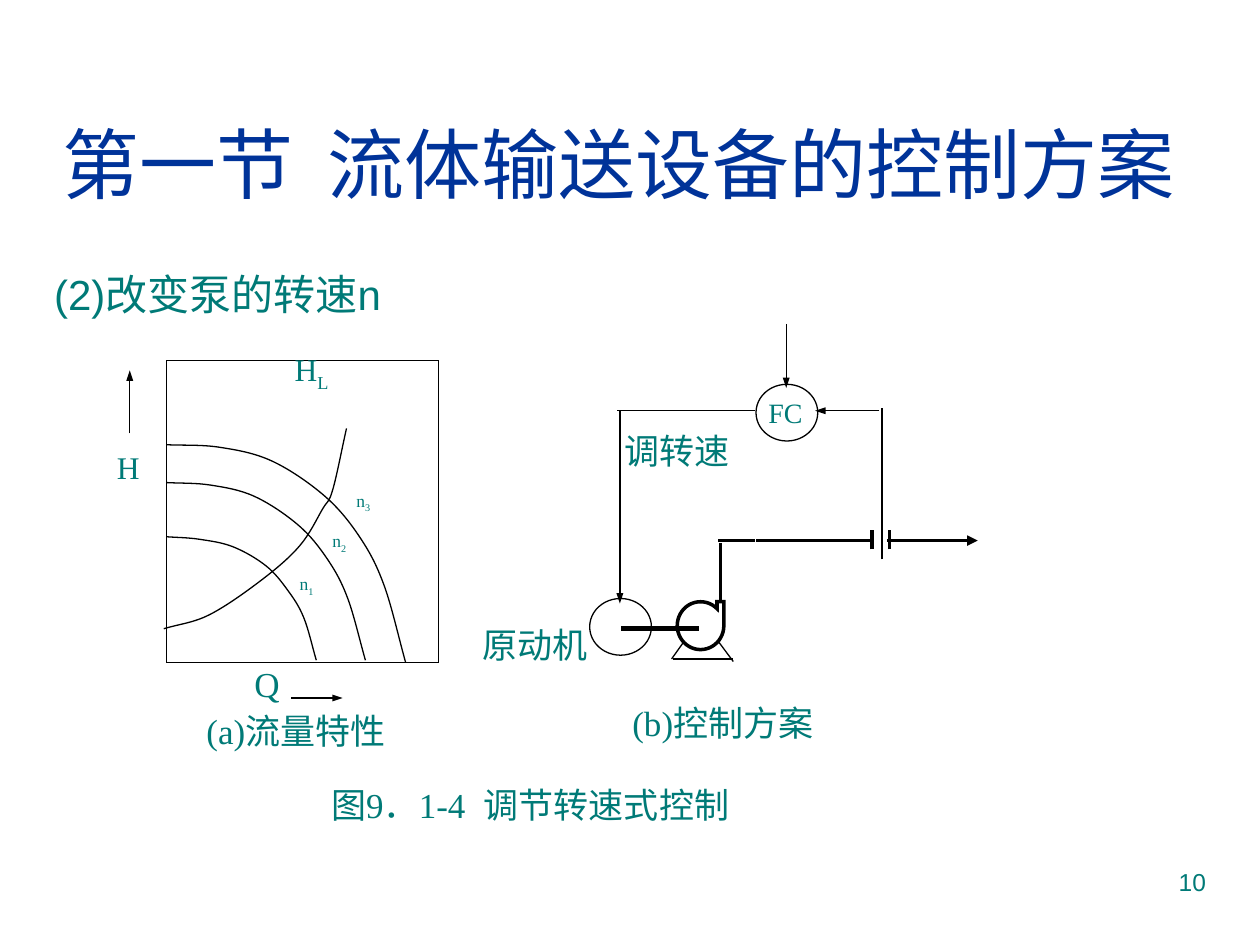
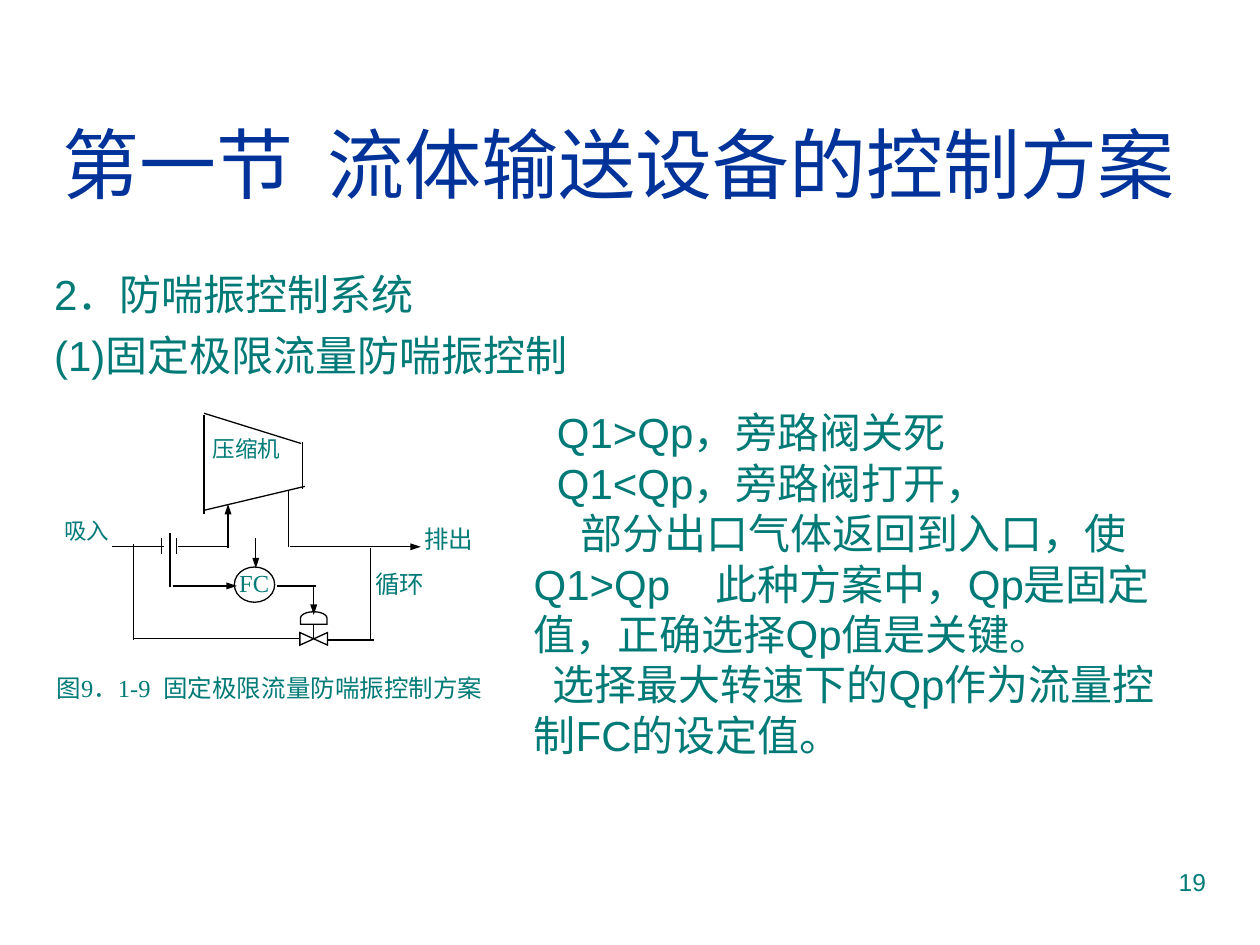
"""Build two slides on control schemes for fluid transport equipment."""
from dataclasses import dataclass
from typing import NamedTuple

from lxml.etree import SubElement
from pptx import Presentation
from pptx.dml.color import RGBColor
from pptx.enum.shapes import MSO_CONNECTOR, MSO_SHAPE
from pptx.enum.text import MSO_ANCHOR, MSO_AUTO_SIZE, PP_ALIGN
from pptx.oxml.ns import qn
from pptx.util import Inches, Pt


@dataclass(frozen=True)
class Theme:
    title: RGBColor = RGBColor(0x00, 0x33, 0x99)
    text: RGBColor = RGBColor(0x00, 0x7A, 0x77)
    ink: RGBColor = RGBColor(0, 0, 0)
    paper: RGBColor = RGBColor(255, 255, 255)
    sans: str = "Arial"
    serif: str = "Times New Roman"
    title_pt: float = 44
    body_pt: float = 24
    label_pt: float = 20
    axis_pt: float = 18
    tag_pt: float = 16
    small_pt: float = 14
    device_pt: float = 12.9
    curve_pt: float = 10
    thin: float = 0.75
    pipe: float = 2
    shaft: float = 3
    space_em: float = 0.27


T = Theme()
CELL = 0.1


class Span(NamedTuple):
    text: str
    base: int = 0
    extra_spaces: float = 0


class Box(NamedTuple):
    col: float
    row: float
    cols: float
    rows: float


class Label(NamedTuple):
    box: Box
    spans: list[Span]
    size: float = T.label_pt
    spacing: float = 1.0


class Node(NamedTuple):
    kind: MSO_SHAPE
    box: Box
    weight: float = T.thin
    turn: float = 0


class Line(NamedTuple):
    x1: float
    y1: float
    x2: float
    y2: float
    arrow: bool = False
    weight: float = T.thin


Points = list[tuple[float, float]]
GAP = Span(" ", extra_spaces=1)
TITLE = [Span("第一节"), Span(" ", extra_spaces=0.8), Span("流体输送设备的控制方案")]
TITLE_BOX = Box(3.3, 6.7, 93.4, 12.5)
TITLE_RIGHT_INSET = 2.7
BODY_BOX = Box(3.3, 20.8, 93.4, 45.9)
NUMBER_BOX = Box(71.7, 68.3, 25, 5.2)

SPEED_CURVES: list[Points] = [
    [(13.2, 35.3), (17.4, 35.5), (21.6, 36.6), (25.8, 39.4), (28.6, 42.7), (30.5, 46.5), (32.2, 52.6)],
    [(13, 49.9), (16.6, 48.8), (20.8, 46), (23.8, 43.3), (25.6, 40.4), (26.4, 38.9), (27.5, 34)],
    [(13.2, 38.3), (16.7, 38.5), (20.2, 39.4), (23.7, 41.7), (26, 44.4), (27.6, 47.5), (29, 52.4)],
    [(13.2, 42.6), (15.8, 42.8), (18.5, 43.4), (21.1, 44.9), (22.8, 46.8), (24.1, 49), (25.1, 52.4)],
]
SPEED_NODES = [
    Node(MSO_SHAPE.RECTANGLE, Box(13.2, 28.6, 21.6, 24)),
    Node(MSO_SHAPE.OVAL, Box(46.8, 47.5, 4.9, 4.5)),
    Node(MSO_SHAPE.FLOWCHART_SEQUENTIAL_ACCESS_STORAGE, Box(53.7, 47.8, 3.8, 3.7), T.pipe, 270),
    Node(MSO_SHAPE.OVAL, Box(60, 30.5, 4.9, 4.5)),
]
SPEED_LINES = [
    Line(10.3, 34.4, 10.3, 29.4, True),
    Line(23.1, 55.4, 27.2, 55.4, True),
    Line(57, 42.9, 59.9, 42.9, weight=T.pipe),
    Line(57.2, 43.1, 57.2, 47.7, weight=T.pipe),
    Line(70.4, 42.9, 77.6, 42.9, True, T.pipe),
    Line(54.3, 50.9, 53.3, 52.3),
    Line(57, 50.9, 58.2, 52.5),
    Line(53.4, 52.3, 58.2, 52.3),
    Line(49.3, 49.9, 55.5, 49.9, weight=T.shaft),
    Line(60, 42.9, 69.3, 42.9, weight=T.pipe),
    *[Line(x, 43.6, x, 42.1, weight=T.pipe) for x in (69.2, 70.6)],
    Line(70, 44.4, 70, 32.4),
    Line(69.8, 32.6, 64.7, 32.6, True),
    Line(59.9, 32.6, 49, 32.6),
    Line(62.4, 25.7, 62.4, 30.8, True),
    Line(49.2, 32.6, 49.2, 47.9, True),
]
SPEED_LABELS = [
    Label(Box(22.4, 27.3, 6.9, 5.1), [Span("H"), Span("L", -25)], T.axis_pt),
    Label(Box(60, 30.9, 7.5, 3.9), [Span("FC")], T.tag_pt),
    Label(Box(48.6, 33.6, 10.8, 5.2), [Span("调转速")]),
    Label(Box(37.3, 49, 11.9, 5.5), [Span("原动机")]),
    Label(Box(49.2, 55.2, 17.2, 6), [Span("(b)控制方案")]),
    Label(Box(8.3, 35.1, 5.2, 4.5), [Span("H")], T.axis_pt),
    *[Label(Box(col, row, 5.5, 5), [Span("n"), Span(index, -25)], T.curve_pt)
      for col, row, index in ((27.3, 38.4, "3"), (25.4, 41.6, "2"), (22.8, 45, "1"))],
    Label(Box(19.2, 52.1, 5.2, 5.4), [Span("Q")]),
    Label(Box(15.4, 55.8, 18, 5.4), [Span("(a)流量特性")]),
    Label(Box(25.3, 61.7, 37.7, 4.9), [Span("图9．1-4"), GAP, Span("调节转速式控制")]),
]

SURGE_NODES = [
    Node(MSO_SHAPE.OVAL, Box(18.6, 45, 3.2, 2.8)),
    Node(MSO_SHAPE.FLOWCHART_COLLATE, Box(24.4, 49.6, 1, 2.2), turn=270),
    Node(MSO_SHAPE.FLOWCHART_DELAY, Box(24.4, 48, 1, 2.1), turn=270),
]
SURGE_LINES = [
    Line(16.2, 32.9, 16.2, 40.8),
    Line(24, 35.1, 24, 38.8),
    Line(16.2, 32.8, 23.9, 35.2),
    Line(16.2, 40.5, 24.2, 38.6),
    Line(22.9, 39, 22.9, 43.4),
    Line(18.1, 43.5, 18.1, 40, True),
    Line(23, 43.4, 33.4, 43.4, True),
    Line(14.1, 43.4, 18.2, 43.4),
    Line(8.9, 43.4, 13, 43.4),
    *[Line(x, 42.7, x, 44) for x in (12.8, 14)],
    Line(13.5, 42.3, 13.5, 46.6),
    Line(13.7, 46.5, 18.8, 46.5, True),
    Line(29.4, 43.5, 29.4, 50.8),
    Line(10.6, 50.7, 23.7, 50.7),
    Line(10.6, 43.2, 10.6, 50.8),
    Line(24.9, 50.7, 24.9, 49.5),
    Line(26, 50.8, 29.7, 50.8),
    Line(22, 46.5, 25.1, 46.5),
    Line(24.9, 46.4, 24.9, 48.8, True),
    Line(20.3, 42.7, 20.3, 45.1, True),
]
SURGE_LABELS = [
    Label(Box(15.9, 34.3, 7.5, 3.9), [Span("压缩机")], T.device_pt, 0.9),
    Label(Box(32.7, 41.1, 6.1, 4), [Span("排出")], T.small_pt),
    Label(Box(4.1, 40.8, 5.8, 4), [Span("吸入")], T.device_pt, 0.9),
    Label(Box(28.8, 44.7, 6.2, 4), [Span("循环")], T.small_pt),
    Label(Box(18, 44.6, 4.5, 4.4), [Span("FC")], T.small_pt),
    Label(Box(3.5, 52.9, 37.8, 4.2),
          [Span("图9．1-9"), GAP, Span("固定极限流量防喘振控制方案")], T.small_pt),
]
RULES_BOX = Box(41.37, 31.8, 52.8, 29)
RULES = [
    (1.85, [Span("Q1>Qp，旁路阀关死")]),
    (1.85, [Span("Q1<Qp，旁路阀打开，")]),
    (3.7, [Span("部分出口气体返回到入口，使Q1>Qp"), Span(" ", extra_spaces=3),
           Span("此种方案中，Qp是固定值，正确选择Qp值是关键。")]),
    (1.5, [Span("选择最大转速下的Qp作为流量控制FC的设定值。")]),
]


def grid(n: float) -> int:
    """Convert grid cells to a length."""
    return Inches(round(n * CELL, 3))


def place(box: Box) -> tuple[int, ...]:
    """Convert a grid box to left, top, width and height."""
    return tuple(grid(n) for n in box)


def write(p, spans: list[Span], size: float, font: str = T.serif, color: RGBColor = T.text) -> None:
    """Add formatted runs to a paragraph."""
    for span in spans:
        r = p.add_run()
        r.text = span.text
        r.font.size, r.font.name = Pt(size), font
        r.font.color.rgb = color
        rPr = r._r.get_or_add_rPr()
        if span.base:
            rPr.set("baseline", str(span.base * 1000))
        if span.extra_spaces:
            rPr.set("spc", str(round(span.extra_spaces * size * T.space_em * 100)))


def indent(p, left: float, first: float) -> None:
    """Indent a paragraph and clear its bullet."""
    pPr = p._p.get_or_add_pPr()
    pPr.set("marL", str(grid(left)))
    pPr.set("indent", str(grid(first)))
    SubElement(pPr, qn("a:buNone"))


def add_text_box(shapes, box: Box):
    """Add a wrapping text box and return its frame."""
    tf = shapes.add_textbox(*place(box)).text_frame
    tf.word_wrap = True
    return tf


def add_label(shapes, label: Label) -> None:
    """Add one diagram label."""
    p = add_text_box(shapes, label.box).paragraphs[0]
    p.alignment = PP_ALIGN.JUSTIFY
    p.line_spacing = label.spacing
    write(p, label.spans, label.size)


def outline(sp, weight: float) -> None:
    """Give a shape a plain ink outline with sharp corners."""
    sp.shadow.inherit = False
    sp.line.color.rgb = T.ink
    sp.line.width = Pt(weight)
    SubElement(sp.line._get_or_add_ln(), qn("a:miter"), lim="800000")


def add_node(shapes, node: Node) -> None:
    """Add one device symbol."""
    sp = shapes.add_shape(node.kind, *place(node.box))
    sp.fill.solid()
    sp.fill.fore_color.rgb = T.paper
    sp.rotation = node.turn
    outline(sp, node.weight)


def add_line(shapes, line: Line) -> None:
    """Add a straight line, with an arrowhead at its end if asked."""
    ends = [grid(n) for n in line[:4]]
    cxn = shapes.add_connector(MSO_CONNECTOR.STRAIGHT, *ends)
    cxn.line.color.rgb = T.ink
    cxn.line.width = Pt(line.weight)
    if line.arrow:
        head = "sm" if line.weight == T.thin else "med"
        SubElement(cxn.line._get_or_add_ln(), qn("a:tailEnd"), type="triangle", w=head, len="med")
    SubElement(cxn._element.spPr, qn("a:effectLst"))


def beyond(end: tuple, inner: tuple) -> tuple:
    """Mirror the inner point through the end point."""
    return tuple(2 * e - i for e, i in zip(end, inner))


def add_curve(shapes, knots: Points) -> None:
    """Add an open curve whose tangents follow the neighbouring knots."""
    points = [(grid(x), grid(y)) for x, y in knots]
    builder = shapes.build_freeform(*points[0])
    builder.add_line_segments(points[1:], close=False)
    sp = builder.convert_to_shape()
    sp.fill.background()
    outline(sp, T.thin)
    local = [(x - sp.left, y - sp.top) for x, y in points]
    padded = [beyond(local[0], local[1]), *local, beyond(local[-1], local[-2])]
    segments = list(sp._element.iter(qn("a:lnTo")))
    for segment, a, b, c, d in zip(segments, padded, padded[1:], padded[2:], padded[3:]):
        parent = segment.getparent()
        parent.remove(segment)
        bezier = SubElement(parent, qn("a:cubicBezTo"))
        leave = [q + (s - o) / 6 for o, q, s in zip(a, b, c)]
        arrive = [s - (u - q) / 6 for q, s, u in zip(b, c, d)]
        for x, y in (leave, arrive, c):
            SubElement(bezier, qn("a:pt"), x=str(round(x)), y=str(round(y)))


def add_base(prs, number: str, headings: list[str]):
    """Add a slide with its title, headings and number."""
    slide = prs.slides.add_slide(prs.slide_layouts[1])
    title, body = slide.placeholders
    for sp, box in ((title, TITLE_BOX), (body, BODY_BOX)):
        sp.left, sp.top, sp.width, sp.height = place(box)
        sp.text_frame.auto_size = MSO_AUTO_SIZE.NONE
    title.text_frame.vertical_anchor = MSO_ANCHOR.MIDDLE
    title.text_frame.margin_right = grid(TITLE_RIGHT_INSET)
    p = title.text_frame.paragraphs[0]
    p.alignment = PP_ALIGN.CENTER
    write(p, TITLE, T.title_pt, T.sans, T.title)
    tf = body.text_frame
    for i, heading in enumerate(headings):
        p = tf.add_paragraph() if i else tf.paragraphs[0]
        indent(p, 3.8, -3.8)
        p.space_before = Pt(6 if i else 0)
        write(p, [Span(heading)], T.body_pt, T.sans)
    p = add_text_box(slide.shapes, NUMBER_BOX).paragraphs[0]
    p.alignment = PP_ALIGN.RIGHT
    write(p, [Span(number)], T.small_pt, T.sans)
    return slide


def add_diagram(slide, nodes: list[Node], curves: list[Points], lines: list[Line], labels: list[Label]) -> None:
    """Draw a grouped diagram from back to front."""
    shapes = slide.shapes.add_group_shape().shapes
    for draw, items in ((add_node, nodes), (add_curve, curves), (add_line, lines), (add_label, labels)):
        for item in items:
            draw(shapes, item)


def add_rules(slide) -> None:
    """Add the bypass valve rules."""
    tf = add_text_box(slide.shapes, RULES_BOX)
    for i, (first, spans) in enumerate(RULES):
        p = tf.add_paragraph() if i else tf.paragraphs[0]
        indent(p, 0, first)
        write(p, spans, T.body_pt, T.sans)


def main() -> None:
    """Build and save the presentation."""
    prs = Presentation()
    prs.slide_width, prs.slide_height = grid(100), grid(75)
    speed = add_base(prs, "10", ["(2)改变泵的转速n"])
    add_diagram(speed, SPEED_NODES, SPEED_CURVES, SPEED_LINES, SPEED_LABELS)
    surge = add_base(prs, "19", ["2．防喘振控制系统", "(1)固定极限流量防喘振控制"])
    add_rules(surge)
    add_diagram(surge, SURGE_NODES, [], SURGE_LINES, SURGE_LABELS)
    prs.save("out.pptx")


if __name__ == "__main__":
    main()
